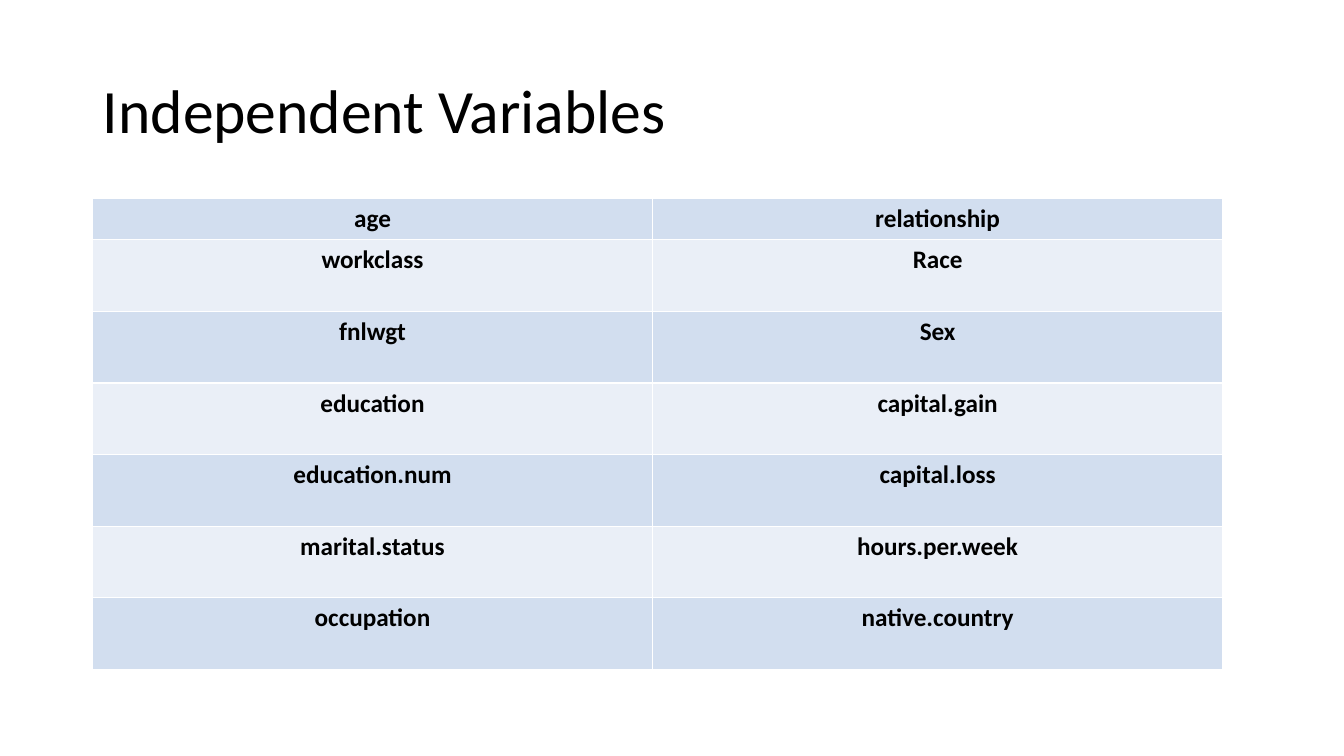
from lxml.etree import SubElement
from pptx import Presentation
from pptx.dml.color import RGBColor
from pptx.enum.text import MSO_ANCHOR, PP_ALIGN
from pptx.oxml.ns import qn
from pptx.util import Inches, Pt

BLACK = RGBColor(0x00, 0x00, 0x00)
WHITE = RGBColor(0xFF, 0xFF, 0xFF)
BANDS = [RGBColor(0xD2, 0xDE, 0xEF), RGBColor(0xEA, 0xEF, 0xF7)]
FONT = "Calibri"
LEFT = Inches(0.92)
WIDTHS = [Inches(5.55), Inches(5.66)]
HEAD, ROW = Inches(0.41), Inches(0.71)

PAIRS = [
    ("age", "relationship"),
    ("workclass", "Race"),
    ("fnlwgt", "Sex"),
    ("education", "capital.gain"),
    ("education.num", "capital.loss"),
    ("marital.status", "hours.per.week"),
    ("occupation", "native.country"),
]


def style(par, size, bold):
    """Set the font of a paragraph."""
    font = par.font
    font.name, font.size, font.bold = FONT, Pt(size), bold
    font.color.rgb = BLACK


def frame(cell):
    """Draw a thin white border on all four sides of a cell."""
    props = cell._tc.get_or_add_tcPr()
    for side in ("lnL", "lnR", "lnT", "lnB"):
        line = SubElement(props, qn(f"a:{side}"), w=str(Pt(1)))
        fill = SubElement(line, qn("a:solidFill"))
        SubElement(fill, qn("a:srgbClr"), val=str(WHITE))


deck = Presentation()
deck.slide_width, deck.slide_height = Inches(13.33), Inches(7.5)
slide = deck.slides.add_slide(deck.slide_layouts.get_by_name("Title Only"))

title = slide.shapes.title
title.left, title.top = LEFT, Inches(0.4)
title.width, title.height = Inches(11.5), Inches(1.45)
title.text_frame.text = "Independent Variables"
title.text_frame.vertical_anchor = MSO_ANCHOR.MIDDLE
par = title.text_frame.paragraphs[0]
par.alignment = PP_ALIGN.LEFT
par.line_spacing = 0.9
style(par, 44, False)

height = HEAD + ROW * (len(PAIRS) - 1)
table = slide.shapes.add_table(
    len(PAIRS), len(WIDTHS), LEFT, Inches(1.97), sum(WIDTHS), height
).table
table.first_row = table.horz_banding = False
for col, width in zip(table.columns, WIDTHS):
    col.width = width

for r, pair in enumerate(PAIRS):
    table.rows[r].height = ROW if r else HEAD
    for c, name in enumerate(pair):
        cell = table.cell(r, c)
        cell.text = name
        cell.vertical_anchor = MSO_ANCHOR.TOP if r else MSO_ANCHOR.MIDDLE
        frame(cell)
        cell.fill.solid()
        cell.fill.fore_color.rgb = BANDS[r % 2]
        par = cell.text_frame.paragraphs[0]
        par.alignment = PP_ALIGN.CENTER
        style(par, 18, True)

deck.save("out.pptx")
